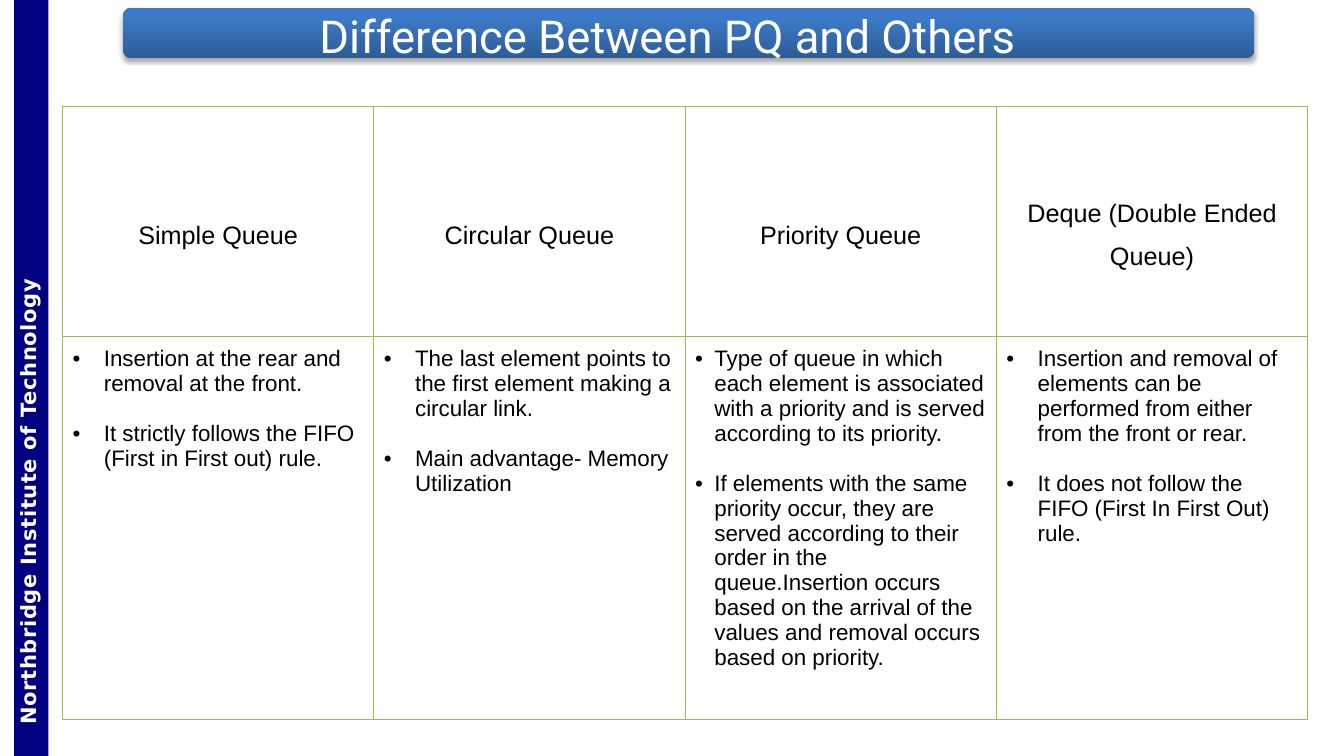
import copy

import pptx
import pptx.dml.color
import pptx.enum.shapes
import pptx.enum.text
import pptx.oxml
import pptx.oxml.ns
import pptx.util
from pptx.util import Inches, Pt

ANCHOR = pptx.enum.text.MSO_ANCHOR
ALIGN = pptx.enum.text.PP_ALIGN
SHAPE = pptx.enum.shapes.MSO_SHAPE
NS = pptx.oxml.ns.nsdecls("a")

TITLE = "Difference Between PQ and Others"
INSTITUTE = "Northbridge Institute of Technology"
# heading, bullet indent in inches, bullet points
QUEUES = [
    ("Simple Queue", 0.31, [
        "Insertion at the rear and removal at the front.",
        "It strictly follows the FIFO (First in First out) rule."]),
    ("Circular Queue", 0.31, [
        "The last element points to the first element making a circular link.",
        "Main advantage- Memory Utilization"]),
    ("Priority Queue", 0.19, [
        "Type of queue in which each element is associated with a priority "
        "and is served according to its priority.",
        "If elements with the same priority occur, they are served according "
        "to their order in the queue.Insertion occurs based on the arrival of "
        "the values and removal occurs based on priority."]),
    ("Deque (Double Ended Queue)", 0.31, [
        "Insertion and removal of elements can be performed from either "
        "from the front or rear.",
        "It does not follow the FIFO (First In First Out) rule."]),
]
BANNER_STOPS = [(0, "2D5C97"), (0.8, "3C7AC5"), (1, "397BC9")]
TABLE_BOX = (0.62, 1.06, 12.35, 6.08)
ROW_HEIGHTS = (2.28, 3.8)
BORDER = "9BBB59"

TITLE_FONT = {"name": "Roboto", "size": Pt(32.4), "color": "FFFFFF"}
SIDE_FONT = {"name": "DejaVu Sans", "size": Pt(15), "bold": True, "color": "FFFFFF"}
HEAD_FONT = {"name": "Arial", "size": Pt(18), "bold": False, "color": "000000"}
BODY_FONT = {**HEAD_FONT, "size": Pt(16)}
HEAD_PARA = {"alignment": ALIGN.CENTER, "line_spacing": 1.5}
BODY_PARA = {"alignment": ALIGN.LEFT, "space_after": Pt(17.8)}


def rgb(value):
    return pptx.dml.color.RGBColor.from_string(value)


def apply(target, values):
    for name, value in values.items():
        setattr(target, name, value)


def margins(left, top, right, bottom):
    sides = zip(("left", "top", "right", "bottom"), (left, top, right, bottom))
    return {f"margin_{side}": Inches(size) for side, size in sides}


def write(p, text, font, para):
    apply(p, para)
    r = p.add_run()
    r.text = text
    apply(r.font, {k: v for k, v in font.items() if k != "color"})
    r.font.color.rgb = rgb(font["color"])
    return r


def add_bullet(p, indent):
    pPr = p._p.get_or_add_pPr()
    pPr.set("marL", str(Inches(indent)))
    pPr.set("indent", str(-Inches(indent)))
    for xml in (f'<a:buFont {NS} typeface="Arial"/>', f'<a:buChar {NS} char="•"/>'):
        pPr.append(pptx.oxml.parse_xml(xml))


def add_borders(cell):
    tcPr = cell._tc.get_or_add_tcPr()
    for i, side in enumerate("LRTB"):
        tcPr.insert(i, pptx.oxml.parse_xml(
            f'<a:ln{side} {NS} w="{Pt(1)}"><a:solidFill><a:srgbClr val="{BORDER}"/>'
            f'</a:solidFill></a:ln{side}>'))


def add_block(s, kind, box):
    sp = s.shapes.add_shape(kind, *map(Inches, box))
    sp.shadow.inherit = False
    sp.line.fill.background()
    return sp


def add_banner(s):
    sp = add_block(s, SHAPE.ROUNDED_RECTANGLE, (1.22, 0.08, 11.22, 0.5))
    sp.adjustments[0] = 0.167
    sp.fill.gradient()
    sp.fill.gradient_angle = 90
    stops = sp._element.spPr.find(".//" + pptx.oxml.ns.qn("a:gsLst"))
    stops.append(copy.deepcopy(stops[-1]))
    for stop, (position, color) in zip(sp.fill.gradient_stops, BANNER_STOPS):
        stop.position = position
        stop.color.rgb = rgb(color)
    effects = sp._element.spPr.find(pptx.oxml.ns.qn("a:effectLst"))
    effects.append(pptx.oxml.parse_xml(
        f'<a:outerShdw {NS} blurRad="{Pt(3.1)}" dist="{Pt(1.8)}" dir="5400000" '
        'rotWithShape="0"><a:srgbClr val="000000"><a:alpha val="34000"/>'
        '</a:srgbClr></a:outerShdw>'))


def add_side_bar(s):
    sp = add_block(s, SHAPE.RECTANGLE, (-3.44, 3.58, 7.5, 0.34))
    sp.rotation = 270
    sp.fill.solid()
    sp.fill.fore_color.rgb = rgb("000080")
    tf = sp.text_frame
    apply(tf, {"vertical_anchor": ANCHOR.TOP, "word_wrap": True,
               **margins(0.31, 0.01, 0.1, 0.07)})
    r = write(tf.paragraphs[0], INSTITUTE, SIDE_FONT, {"alignment": ALIGN.LEFT})
    r._r.get_or_add_rPr().set("spc", "45")


def add_title(s):
    tf = s.shapes.add_textbox(*map(Inches, (2.4, 0, 8.44, 0.7))).text_frame
    apply(tf, {"vertical_anchor": ANCHOR.MIDDLE, "word_wrap": True,
               **margins(0.1, 0.05, 0.1, 0.05)})
    write(tf.paragraphs[0], TITLE, TITLE_FONT, {"alignment": ALIGN.CENTER})


def add_queue_table(s):
    frame = s.shapes.add_table(len(ROW_HEIGHTS), len(QUEUES), *map(Inches, TABLE_BOX))
    table = frame.table
    apply(table, {"first_row": False, "horz_banding": False})
    for row, height in zip(table.rows, ROW_HEIGHTS):
        row.height = Inches(height)
    for col, (heading, indent, points) in enumerate(QUEUES):
        table.columns[col].width = Inches(TABLE_BOX[2] / len(QUEUES))
        head, body = table.cell(0, col), table.cell(1, col)
        apply(head, {"vertical_anchor": ANCHOR.MIDDLE, **margins(0.13, 0.26, 0.13, 0.13)})
        apply(body, {"vertical_anchor": ANCHOR.TOP, **margins(0.1, 0.1, 0.1, 0.1)})
        for cell in (head, body):
            cell.fill.background()
            add_borders(cell)
        write(head.text_frame.paragraphs[0], heading, HEAD_FONT, HEAD_PARA)
        tf = body.text_frame
        for i, point in enumerate(points):
            p = tf.add_paragraph() if i else tf.paragraphs[0]
            write(p, point, BODY_FONT, BODY_PARA)
            add_bullet(p, indent)


def main():
    prs = pptx.Presentation()
    apply(prs, {"slide_width": Inches(13.33), "slide_height": Inches(7.5)})
    s = prs.slides.add_slide(prs.slide_layouts[6])
    add_banner(s)
    add_side_bar(s)
    add_queue_table(s)
    add_title(s)
    prs.save("out.pptx")


if __name__ == "__main__":
    main()
